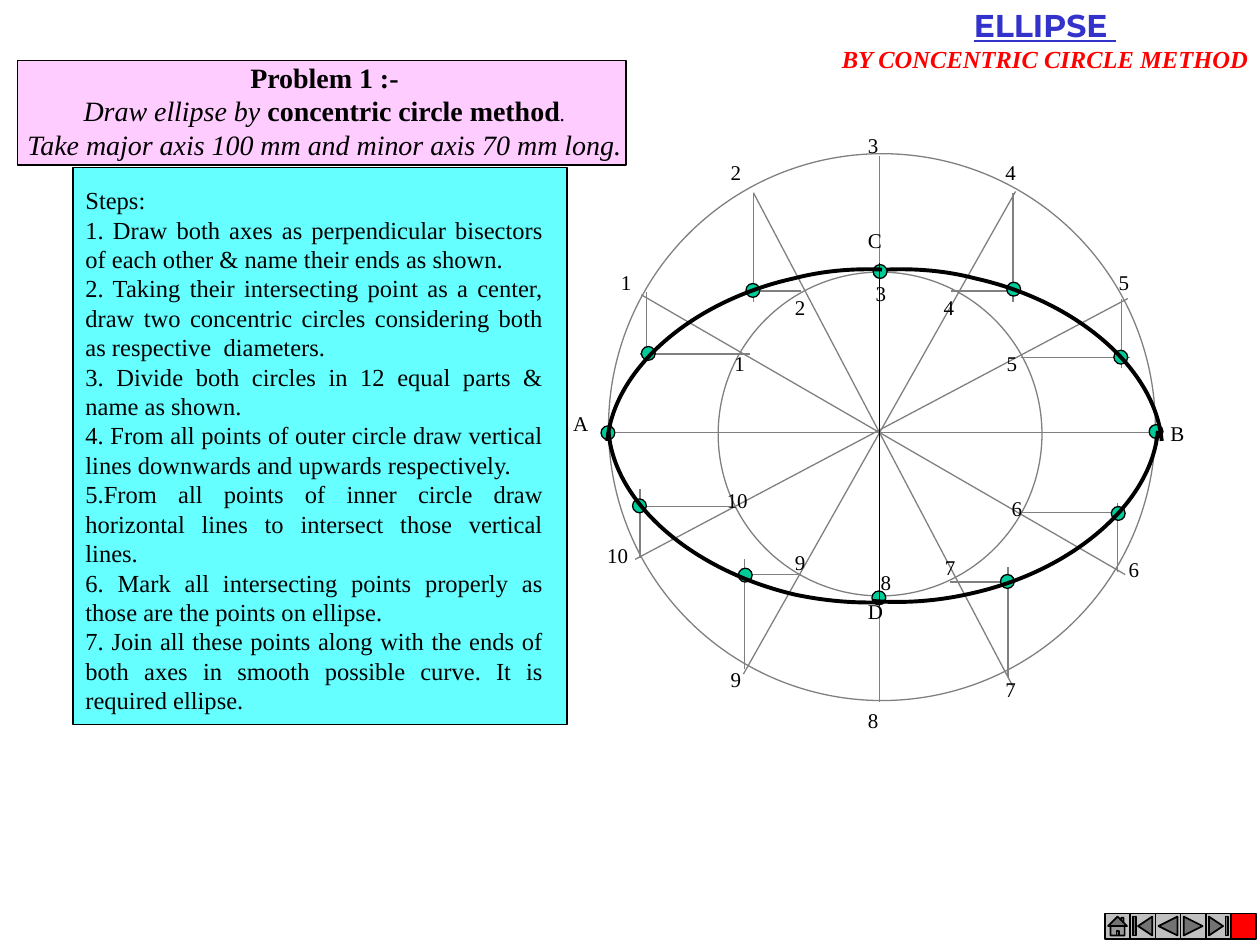
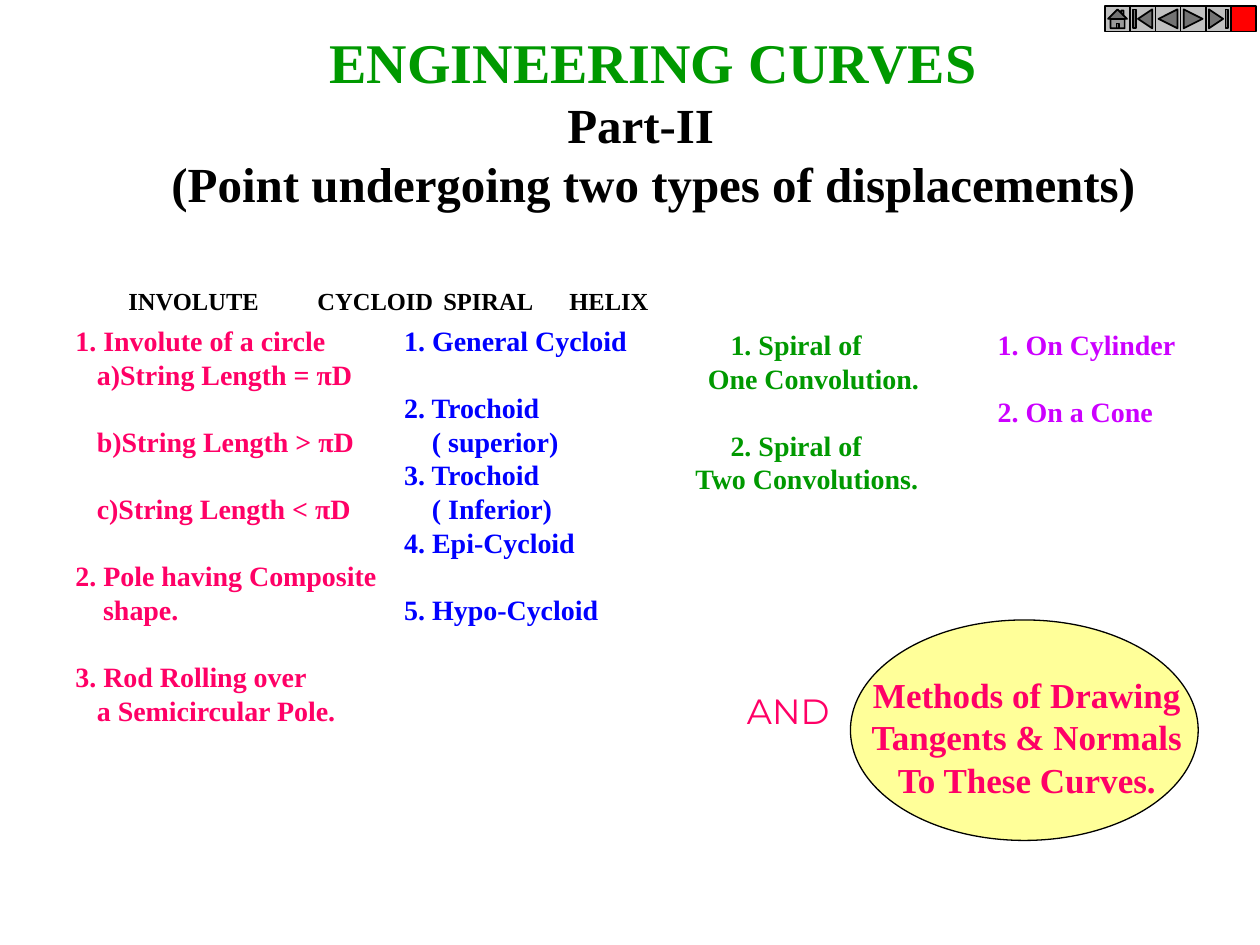
import pptx
import pptx.util
import pptx.dml.color
import pptx.enum.shapes
import pptx.enum.text
import pptx.oxml.ns
from lxml import etree

RGB = pptx.dml.color.RGBColor
KIND = pptx.enum.shapes.MSO_SHAPE
ALIGN = pptx.enum.text.PP_ALIGN
Pt = pptx.util.Pt
qn = pptx.oxml.ns.qn

SCALE = 9144  # 100 px to the inch
SERIF, SANS = "Times New Roman", "Montserrat"
BLACK, WHITE = RGB(0, 0, 0), RGB(255, 255, 255)
GREY, SILVER = RGB(128, 128, 128), RGB(192, 192, 192)
RED, BLUE, INDIGO = RGB(255, 0, 0), RGB(0, 0, 255), RGB(0x33, 0x33, 0xCC)
GREEN, TEAL = RGB(0, 0x99, 0), RGB(0, 0xCC, 0x99)
PINK, VIOLET = RGB(0xFF, 0, 0x66), RGB(0xCC, 0, 0xFF)
AQUA, ROSE, LEMON = RGB(0x66, 255, 255), RGB(255, 0xCC, 255), RGB(255, 255, 0x99)

# Slide 1: the construction
CIRCLES = [(483, 122, 434), (570, 216, 257)]  # left, top, size
SPOKES = [
    (483, 343, 918, 343), (698, 124, 698, 557), (509, 234, 893, 456),
    (895, 237, 504, 444), (590, 535, 806, 152), (598, 153, 804, 545),
]
DROPS = [  # x, from y, to y
    (513, 232, 286), (598, 153, 240), (804, 153, 240), (890, 237, 292),
    (508, 443, 388), (591, 531, 444), (800, 537, 450), (887, 454, 399),
]
RUNS = [  # y, from x, to x
    (281, 595, 508), (231, 636, 592), (231, 755, 810), (284, 810, 897),
    (407, 811, 887), (462, 754, 799), (456, 636, 581), (402, 583, 506),
]
MINOR = (698, 209, 698, 481)
DOT = 11
DOTS = [  # left, top
    (509, 275), (592, 225), (799, 224), (693, 210), (884, 278), (912, 337),
    (882, 402), (794, 456), (692, 469), (586, 451), (502, 396), (477, 338),
]
ARCS = [  # two Bezier pieces each, sharing the fourth point
    [(693, 477), (718, 479), (745, 477), (771, 471), (852, 453), (914, 399), (919, 342)],
    [(701, 478), (678, 479), (655, 477), (631, 472), (550, 453), (488, 400), (483, 343)],
    [(700, 214), (677, 213), (653, 215), (630, 221), (549, 239), (487, 293), (482, 350)],
    [(704, 214), (727, 213), (751, 215), (774, 221), (855, 239), (917, 293), (922, 350)],
]
OUTER = [
    (483, 209), (570, 122), (679, 100), (788, 122), (878, 209),
    (886, 437), (788, 532), (679, 557), (570, 524), (472, 426),
]
INNER = [
    (573, 273), (621, 229), (685, 218), (739, 229), (789, 273),
    (793, 388), (740, 435), (689, 447), (621, 431), (567, 382),
]
ENDS = {"A": (445, 321), "B": (919, 329), "C": (679, 176), "D": (679, 470)}
STEPS = [
    "Steps:",
    "1. Draw both axes as perpendicular bisectors of each other & name their ends as shown.",
    "2. Taking their intersecting point as a center, draw two concentric circles "
    "considering both as respective  diameters.",
    "3. Divide both circles in 12 equal parts & name as shown.",
    "4. From all points of outer circle draw vertical lines downwards and upwards respectively.",
    "5.From all points of inner circle draw horizontal lines to intersect those vertical lines.",
    "6. Mark all intersecting points properly as those are the points on ellipse.",
    "7. Join all these points along with the ends of both axes in smooth possible curve. "
    "It is required ellipse.",
]
TASK = [
    [("Problem 1 :-", dict(bold=True))],
    [("Draw ellipse by ", dict(italic=True)),
     ("concentric circle method", dict(bold=True)),
     (".", dict(italic=True, size=12))],
    [("Take major axis 100 mm and minor axis 70 mm long.", dict(italic=True))],
]
HEAD = [
    [("ELLIPSE ", dict(size=18, font=SANS, color=INDIGO, under=True))],
    [("BY CONCENTRIC CIRCLE METHOD", dict(italic=True))],
]

# Slide 2: the list of curves
TITLE = [
    [("ENGINEERING CURVES", dict(size=32, color=GREEN))],
    ("Part-II", dict(right=20)),
    "(Point undergoing two types of displacements)",
]
NAMES = "INVOLUTE\tCYCLOID\tSPIRAL\tHELIX"
TABS = [243, 482, 729]
GAP = 19.2  # the pitch of 16 pt lines
LISTS = [  # box, colour, lines
    ((50, 252, 271, 331), PINK, [
        "1. Involute of a circle",
        ("a)String Length = πD", dict(left=17)),
        ("b)String Length > πD", dict(left=17, gap=GAP)),
        ("c)String Length < πD", dict(left=17, gap=GAP)),
        ("2. Pole having Composite", dict(gap=GAP)),
        ("shape.", dict(left=22)),
        ("3. Rod Rolling over", dict(gap=GAP)),
        ("a Semicircular Pole.", dict(left=17)),
    ]),
    ((311, 252, 198, 304), BLUE, [
        "1. General Cycloid",
        ("2. Trochoid", dict(gap=GAP)),
        ("( superior)", dict(left=22)),
        "3. Trochoid",
        ("( Inferior)", dict(left=22)),
        "4. Epi-Cycloid",
        ("5. Hypo-Cycloid", dict(gap=GAP)),
    ]),
    ((530, 255, 220, 144), GREEN, [
        ("1. Spiral of", dict(left=40)),
        ("One Convolution.", dict(left=22)),
        ("2. Spiral of", dict(left=40, gap=GAP)),
        ("Two Convolutions.", dict(left=12)),
    ]),
    ((782, 255, 193, 117), VIOLET, [
        "1. On Cylinder",
        ("2. On a Cone", dict(gap=GAP)),
    ]),
]
METHODS = ["Methods of Drawing", "Tangents & Normals", "To These Curves."]

# Shared by both slides
KEYS = [
    (KIND.ACTION_BUTTON_HOME, SILVER),
    (KIND.ACTION_BUTTON_BEGINNING, SILVER),
    (KIND.ACTION_BUTTON_BACK_OR_PREVIOUS, SILVER),
    (KIND.ACTION_BUTTON_FORWARD_OR_NEXT, SILVER),
    (KIND.ACTION_BUTTON_END, SILVER),
    (KIND.ACTION_BUTTON_CUSTOM, RED),
]
KEY = 20


def px(*vals):
    return [v * SCALE for v in vals]


def shape(slide, kind, box, fill, line=BLACK, width=0.75):
    item = slide.shapes.add_shape(kind, *px(*box))
    item.shadow.inherit = False
    item.fill.solid()
    item.fill.fore_color.rgb = fill
    item.line.color.rgb = line
    item.line.width = Pt(width)


def rule(slide, ends, color=GREY):
    line = slide.shapes.add_connector(pptx.enum.shapes.MSO_CONNECTOR.STRAIGHT, *px(*ends))
    line.line.color.rgb = color
    line.line.width = Pt(0.75)
    etree.SubElement(line._element.spPr, qn("a:effectLst"))


def style(font, size, color, name, bold=False, italic=False, under=False):
    font.size, font.name = Pt(size), name
    font.bold, font.italic, font.underline = bold, italic, under
    font.color.rgb = color


def text(slide, box, lines, size, color=BLACK, bold=False, align=ALIGN.LEFT,
         font=SERIF, wrap=True, tabs=()):
    """A line is a string, a list of (text, style) runs, or (string, spacing)."""
    frame = slide.shapes.add_textbox(*px(*box)).text_frame
    frame.word_wrap = wrap
    for i, line in enumerate(lines):
        para = frame.add_paragraph() if i else frame.paragraphs[0]
        para.alignment = align
        line, space = line if isinstance(line, tuple) else (line, {})
        props = para._p.get_or_add_pPr()
        for side, name in (("left", "marL"), ("right", "marR")):
            props.set(name, str(px(space.get(side, 0))[0]))
        props.set("indent", "0")
        if "gap" in space:
            para.space_before = Pt(space["gap"])
        if tabs:
            stops = etree.SubElement(props, qn("a:tabLst"))
            for stop in tabs:
                etree.SubElement(stops, qn("a:tab"), pos=str(px(stop)[0]), algn="l")
        for words, look in [(line, {})] if isinstance(line, str) else line:
            run = para.add_run()
            run.text = words
            look = dict(size=size, color=color, bold=bold, font=font) | look
            style(run.font, name=look.pop("font"), **look)


def label(slide, word, spot):
    width = 37 if len(word) > 1 else 31 if word.isalpha() else 28
    text(slide, (*spot, width, 30), [word], 12, wrap=False)


def arc(slide, pts):
    """Draw the control points as a polyline, then turn each three into a curve."""
    pen = slide.shapes.build_freeform(*px(*pts[0]), scale=1.0)
    pen.add_line_segments([tuple(px(*p)) for p in pts[1:]], close=False)
    item = pen.convert_to_shape()
    legs = list(item._element.iter(qn("a:lnTo")))
    for k in range(0, len(legs), 3):
        curve = etree.Element(qn("a:cubicBezTo"))
        legs[k].addprevious(curve)
        for leg in legs[k:k + 3]:
            curve.append(leg[0])
            leg.getparent().remove(leg)
    item.shadow.inherit = False
    item.fill.background()
    item.line.color.rgb = BLACK
    item.line.width = Pt(2.25)


def keys(slide, top):
    for i, (kind, fill) in enumerate(KEYS):
        shape(slide, kind, (877 + i * KEY, top, KEY, KEY), fill, width=1)


def ellipse(slide):
    for left, top, size in CIRCLES:
        shape(slide, KIND.OVAL, (left, top, size, size), WHITE, GREY)
    drops = [(x, a, x, b) for x, a, b in DROPS]
    runs = [(a, y, b, y) for y, a, b in RUNS]
    for ends in SPOKES + drops + runs:
        rule(slide, ends)
    for spot in DOTS:
        shape(slide, KIND.OVAL, (*spot, DOT, DOT), TEAL)
    for pts in ARCS:
        arc(slide, pts)
    rule(slide, MINOR, BLACK)
    for n, spot in enumerate(OUTER, 1):
        label(slide, str(n), spot)
    for word, spot in ENDS.items():
        label(slide, word, spot)
    for n, spot in enumerate(INNER, 1):
        label(slide, str(n), spot)
    shape(slide, KIND.RECTANGLE, (58, 133, 392, 442), AQUA)
    text(slide, (58, 142, 383, 452), STEPS, 14, align=ALIGN.JUSTIFY)
    shape(slide, KIND.RECTANGLE, (14, 48, 483, 83), ROSE)
    text(slide, (-5, 43, 525, 90), TASK, 16, align=ALIGN.CENTER)
    text(slide, (658, 0, 343, 63), HEAD, 14, RED, True, ALIGN.CENTER, wrap=False)
    keys(slide, 725)


def curves(slide):
    text(slide, (92, 222, 858, 33), [NAMES], 14, bold=True, tabs=TABS)
    text(slide, (125, 17, 787, 157), TITLE, 28, bold=True, align=ALIGN.CENTER)
    for box, color, lines in LISTS:
        text(slide, box, lines, 16, color, True)
    shape(slide, KIND.OVAL, (675, 492, 276, 175), LEMON)
    text(slide, (681, 530, 268, 110), METHODS, 20, PINK, True, ALIGN.CENTER)
    text(slide, (583, 542, 86, 43), ["AND"], 20, PINK, font=SANS, wrap=False)
    keys(slide, 5)


def main():
    deck = pptx.Presentation()
    deck.slide_width, deck.slide_height = px(1000, 750)
    for draw in (ellipse, curves):
        draw(deck.slides.add_slide(deck.slide_layouts[6]))
    deck.save("out.pptx")


if __name__ == "__main__":
    main()
